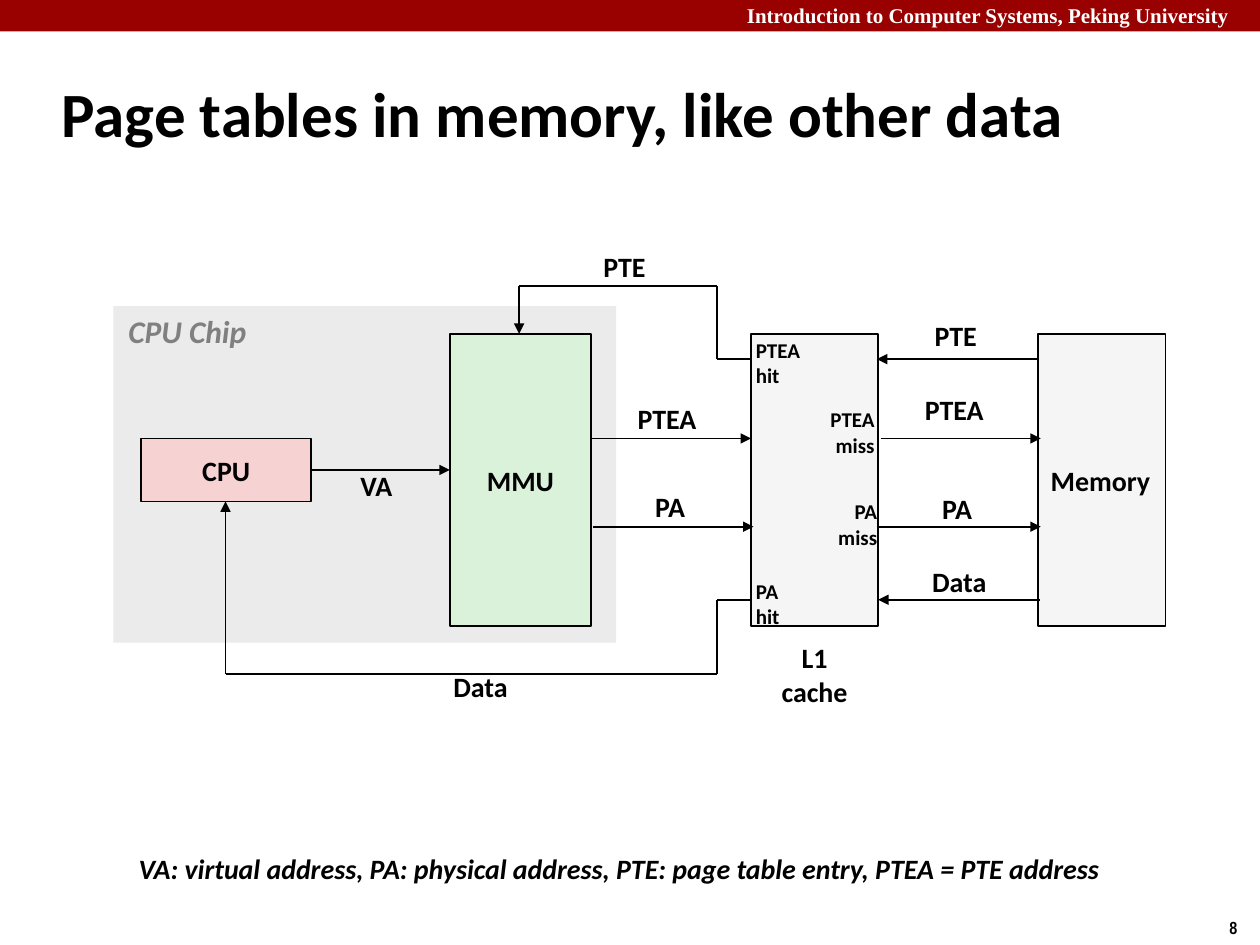
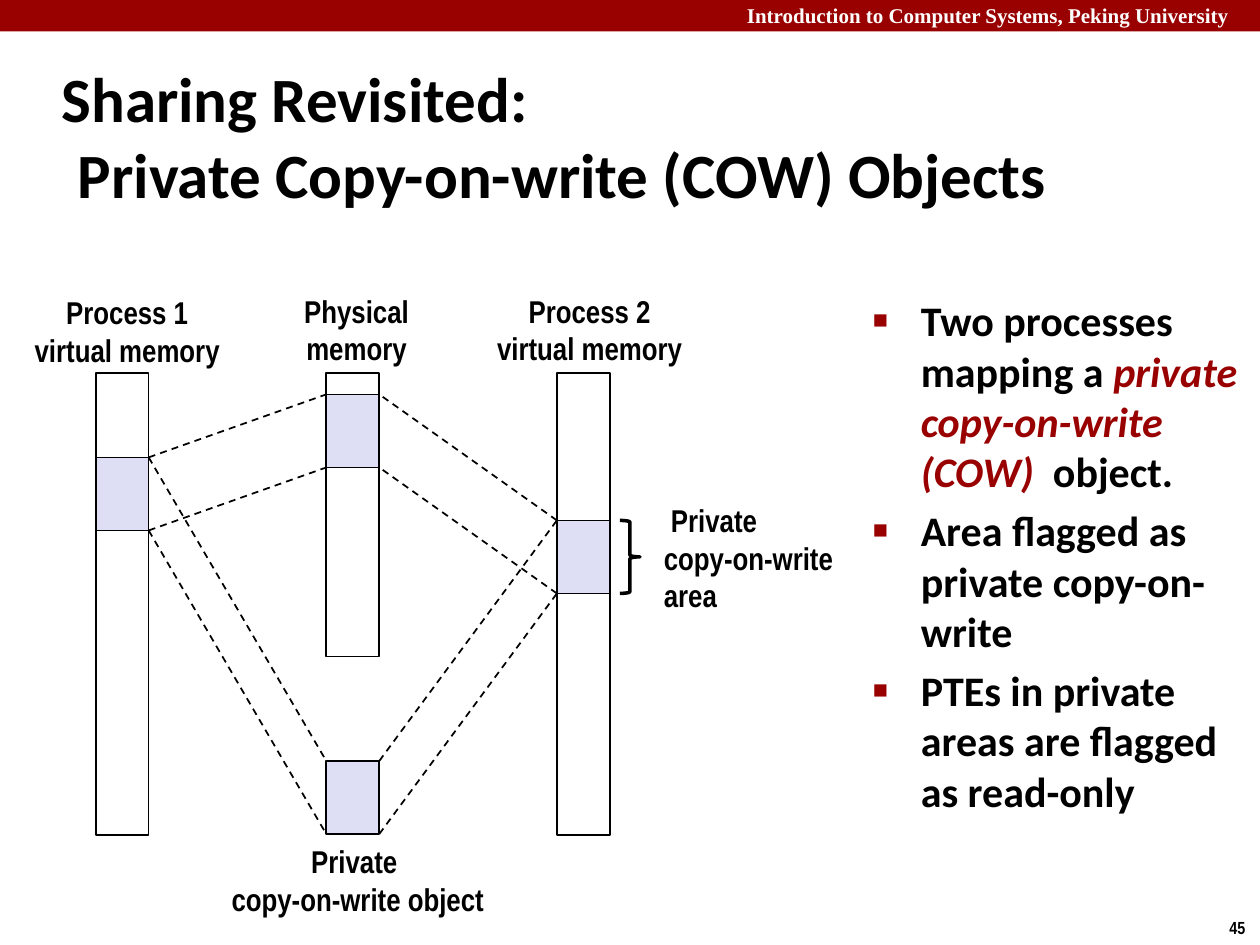
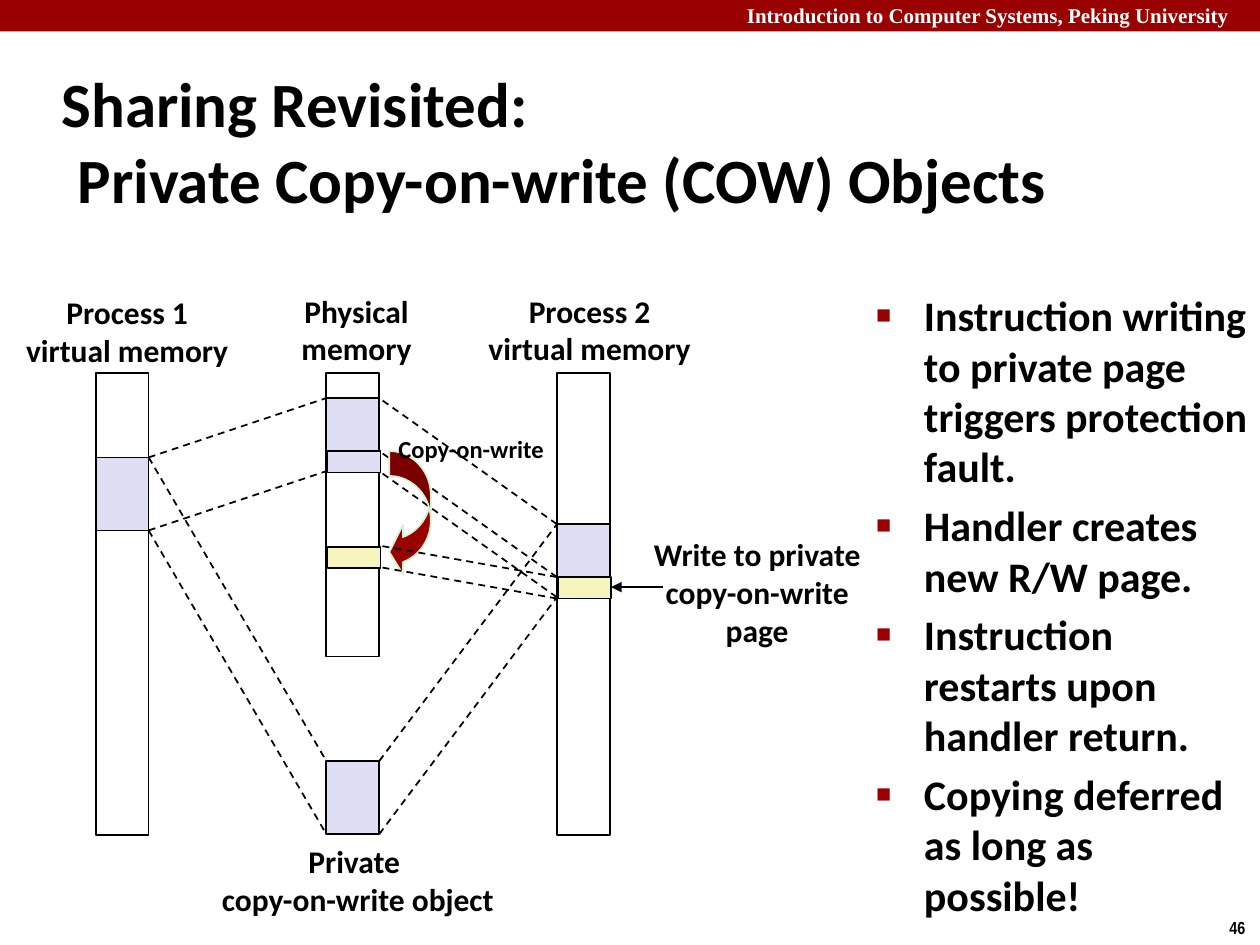
from lxml.etree import SubElement
from pptx import Presentation
from pptx.dml.color import RGBColor as Rgb
from pptx.enum.dml import MSO_LINE as Dash
from pptx.enum.shapes import MSO_CONNECTOR as Wire, MSO_SHAPE as Form
from pptx.enum.text import MSO_ANCHOR as Anchor, PP_ALIGN as Align
from pptx.oxml.ns import qn
from pptx.util import Inches, Pt

HUE = {
    "black": "000000", "white": "FFFFFF", "red": "990000", "grey": "808080",
    "chip": "EBEBEB", "cpu": "F6D2D2", "mmu": "DBF2DA", "store": "F5F5F5",
    "page": "DEDFF5", "fresh": "F6F5BD", "rim": "D5F1CF",
}
MID, TOP = Anchor.MIDDLE, Anchor.TOP
LEFT, CENTER, RIGHT = Align.LEFT, Align.CENTER, Align.RIGHT

deck = Presentation()
deck.slide_width, deck.slide_height = Inches(10), Inches(7.5)
CELL = deck.slide_width // 100  # the slide is a grid of 100 columns and 75 rows


def write(page, text, x, y, w, h, form=None, fill=None, edge=None, thick=1,
          face="Calibri", size=16, hue="black", italic=False, align=LEFT,
          anchor=MID, wrap=False, inset=(1, 0.5), lead=None, hang=0, bullet=False):
    """Add a text box, or a shape if form is given. *Starred* words are red italics."""
    box = [round(v * CELL) for v in (x, y, w, h)]
    if form is None:
        shape = page.shapes.add_textbox(*box)
    else:
        shape = page.shapes.add_shape(form, *box)
        shape.shadow.inherit = False
        if fill:
            shape.fill.solid()
            shape.fill.fore_color.rgb = Rgb.from_string(HUE[fill])
        else:
            shape.fill.background()
        if edge:
            shape.line.color.rgb = Rgb.from_string(HUE[edge])
            shape.line.width = Pt(thick)
        else:
            shape.line.fill.background()
    if not text:
        return shape
    frame = shape.text_frame
    frame.word_wrap, frame.vertical_anchor = wrap, anchor
    frame.margin_left = frame.margin_right = round(inset[0] * CELL)
    frame.margin_top = frame.margin_bottom = round(inset[1] * CELL)
    for row, line in enumerate(text.split("\n")):
        para = frame.add_paragraph() if row else frame.paragraphs[0]
        para.alignment = align
        if lead:
            para.line_spacing = lead
        props = para._p.get_or_add_pPr()
        if hang:
            props.set("marL", str(round(hang * CELL)))
            props.set("indent", str(round(-hang * CELL)))
        if bullet:
            para.space_before = Pt(size * 0.2)
            tint = SubElement(props, qn("a:buClr"))
            SubElement(tint, qn("a:srgbClr"), val=HUE["red"])
            SubElement(props, qn("a:buSzPct"), val="60000")
            SubElement(props, qn("a:buFont"), typeface="Arial")
            SubElement(props, qn("a:buChar"), char="■")
        for part, words in enumerate(line.split("*")):
            star = part % 2 == 1
            for turn, bit in enumerate(words.split("\v")):
                if turn:
                    para.add_line_break()
                run = para.add_run()
                run.text = bit
                font = run.font
                font.name, font.size, font.bold = face, Pt(size), True
                font.italic = italic or star
                font.color.rgb = Rgb.from_string(HUE["red" if star else hue])
    return shape


def link(page, *ends, arrow=False, dash=False):
    """Draw a line from x, y to x, y."""
    wire = page.shapes.add_connector(Wire.STRAIGHT, *[round(v * CELL) for v in ends])
    wire.line.color.rgb = Rgb.from_string(HUE["black"])
    wire.line.width = Pt(1)
    if dash:
        wire.line.dash_style = Dash.DASH
    props = wire._element.spPr
    if arrow:
        SubElement(props.find(qn("a:ln")), qn("a:tailEnd"), type="triangle")
    SubElement(props, qn("a:effectLst"))


# Band, number and title of every slide
COW = "Sharing Revisited: \vPrivate Copy-on-write (COW) Objects"
pages = []
for num, title, high in (
    ("8", "Page tables in memory, like other data", 8.3),
    ("45", COW, 11.9),
    ("46", COW, 12.7),
):
    page = deck.slides.add_slide(deck.slide_layouts[6])
    write(page, "", 0, 0, 100, 2.5, form=Form.RECTANGLE, fill="red")
    write(page, "Introduction to Computer Systems, Peking University", 58.3, -0.3, 42.4, 3,
          face="Times New Roman", size=12, hue="white", anchor=TOP, wrap=True)
    write(page, num, 96.6, 72.3, 3.4, 2.7, face="Arial Narrow", size=10, anchor=TOP)
    write(page, title, 3.9, 4.8, 83, high, size=36, wrap=True, hang=1.3)
    pages.append(page)

# Slide 1: address translation
page = pages[0]
write(page, "", 9, 24.3, 39.9, 26.7, form=Form.RECTANGLE, fill="chip")
write(page, "CPU Chip", 9.2, 24.3, 12.1, 4, size=18, hue="grey", italic=True, anchor=TOP)
for name, x, y, w, h, fill, align in (
    ("CPU", 11.2, 34.8, 13.5, 5, "cpu", CENTER),
    ("MMU", 35.7, 26.5, 11.2, 23.2, "mmu", CENTER),
    ("", 59.6, 26.5, 10.1, 23.2, "store", LEFT),
    ("Memory", 82.4, 26.5, 10.1, 23.2, "store", LEFT),
):
    write(page, name, x, y, w, h, form=Form.RECTANGLE, fill=fill, edge="black", align=align)

for ends in (
    (24.7, 37.3, 35.7, 37.3),  # VA
    (46.9, 34.8, 59.6, 34.8), (69.9, 34.8, 82.6, 34.8),  # PTEA
    (47.1, 41.8, 59.8, 41.8), (69.7, 41.8, 82.6, 41.8),  # PA
    (82.4, 28.5, 69.6, 28.5), (41.2, 22.7, 41.2, 26.5),  # PTE
    (82.5, 47.6, 69.7, 47.6), (17.9, 53.5, 17.9, 39.8),  # Data
):
    link(page, *ends, arrow=True)
for exit, turn, goal in ((28.5, 22.7, 41.2), (47.6, 53.5, 17.9)):
    link(page, 59.6, exit, 56.9, exit)
    link(page, 56.9, exit, 56.9, turn)
    link(page, 56.9, turn, goal, turn)

for name, x, y, w in (("VA", 27.9, 37.3, 4.2), ("PTEA", 49.9, 32, 6.2),
                      ("PA", 51.3, 39, 3.8), ("PTEA", 72.7, 31.3, 6.2)):
    write(page, name, x, y, w, 2.9, anchor=TOP, inset=(0.7, 0.3), lead=0.85)
for name, x, y, w in (("PTE", 46.9, 19.3, 5.4), ("PTE", 73.2, 24.8, 5.4), ("PA", 73.8, 38.5, 4.4),
                      ("Data", 35, 52.6, 6.4), ("Data", 73, 44.3, 6.4)):
    write(page, name, x, y, w, 3.7)
for name, x, y, w, align in (
    ("PTEA\nhit", 59, 26.3, 5.5, LEFT), ("PTEA\nmiss", 64.9, 31.8, 5.5, RIGHT),
    ("PA\nmiss", 65.4, 39.1, 5.2, RIGHT), ("PA\nhit", 59, 45.4, 3.9, LEFT),
):
    write(page, name, x, y, w, 5, size=12, align=align)
write(page, "L1\ncache", 61, 50.3, 7.3, 6.4, align=CENTER)
write(page, "VA: virtual address, PA: physical address, PTE: page table entry, PTEA = PTE address",
      10.3, 67.7, 79.2, 2.9, italic=True, anchor=TOP, inset=(0.7, 0.3), lead=0.85)

# Slides 2 and 3: three memory bars with mapped areas
BAR, AREA, THIN = 4.2, 5.8, 1.7
ONE, PHYS, TWO = [7.6 + 18.3 * n for n in range(3)]
FRAME = 29.6
FROM, FILE = 36.3, 60.4  # tops of the area in process 1 and of the object
for page, face, real, goal, cuts in (
    (pages[1], "Arial Narrow", 31.3, 41.3, (0, AREA)),
    (pages[2], "Calibri", 31.6, 41.6, (0, BAR, AREA)),
):
    for x, h in ((ONE, 36.7), (PHYS, 22.5), (TWO, 36.7)):
        write(page, "", x, FRAME, BAR, h, form=Form.RECTANGLE, edge="black")
    for x, y in ((PHYS, FILE), (PHYS, real), (ONE, FROM), (TWO, goal)):
        write(page, "", x, y, BAR, AREA, form=Form.RECTANGLE, fill="page", edge="black")
    for cut in (0, AREA):
        for y in (FILE, real):
            link(page, ONE + BAR, FROM + cut, PHYS, y + cut, dash=True)
        link(page, PHYS + BAR, FILE + cut, TWO, goal + cut, dash=True)
    for cut in cuts:
        link(page, TWO, goal + cut, PHYS + BAR, real + cut, dash=True)
    for name, mid, y, w in (
        ("Process 1\nvirtual memory", 10.1, 22.7, 20), ("Physical\nmemory", 28.3, 22.6, 14),
        ("Process 2\nvirtual memory", 46.8, 22.6, 20),
        ("Private \ncopy-on-write object", 28.4, 66.3, 26),
    ):
        write(page, name, mid - w / 2, y, w, 7.1, face=face, size=18, align=CENTER)

page = pages[1]
write(page, "", 49.2, 41.3, 1.6, AREA, form=Form.RIGHT_BRACE, edge="black", thick=2)
write(page, " Private\ncopy-on-write\narea", 51.7, 39.2, 15.8, 10.1, face="Arial Narrow", size=18)
write(page, "Two processes mapping a *private copy-on-write (COW)  *object.\n"
      "Area flagged as private copy-on-write\n"
      "PTEs in private areas are flagged as read-only",
      68.3, 22.9, 31.7, 45.8, size=24, anchor=TOP, wrap=True, hang=3.8, bullet=True)

page = pages[2]
arrow = write(page, "", 30.9, 35.8, 3.3, 10, form=Form.CURVED_LEFT_ARROW, fill="red", edge="rim")
for n, value in enumerate((0.6, 1.2, 0.33)):
    arrow.adjustments[n] = value
write(page, "Copy-on-write", 30.6, 33.9, 13.6, 3.4, size=14, align=CENTER)
for x, y, fill in ((PHYS, 35.8, "page"), (TWO, 45.8, "fresh"), (PHYS, 43.4, "fresh")):
    write(page, "", x + 0.1, y, BAR, THIN, form=Form.RECTANGLE, fill=fill, edge="black")
for cut in (0, THIN):
    link(page, TWO, 45.8 + cut, PHYS + BAR, 43.3 + cut, dash=True)
write(page, "Write to private\ncopy-on-write\npage", 50.8, 41.9, 18.6, 10.1, size=18, align=CENTER)
link(page, 52.6, 46.6, 48.5, 46.6, arrow=True)
write(page, "Instruction writing to private page triggers protection fault.\n"
      "Handler creates new R/W page.\n"
      "Instruction restarts upon handler return.\n"
      "Copying deferred as long as possible!",
      68.55, 22.5, 31.7, 49.3, size=24, anchor=TOP, wrap=True, hang=3.8, bullet=True)

deck.save("out.pptx")
